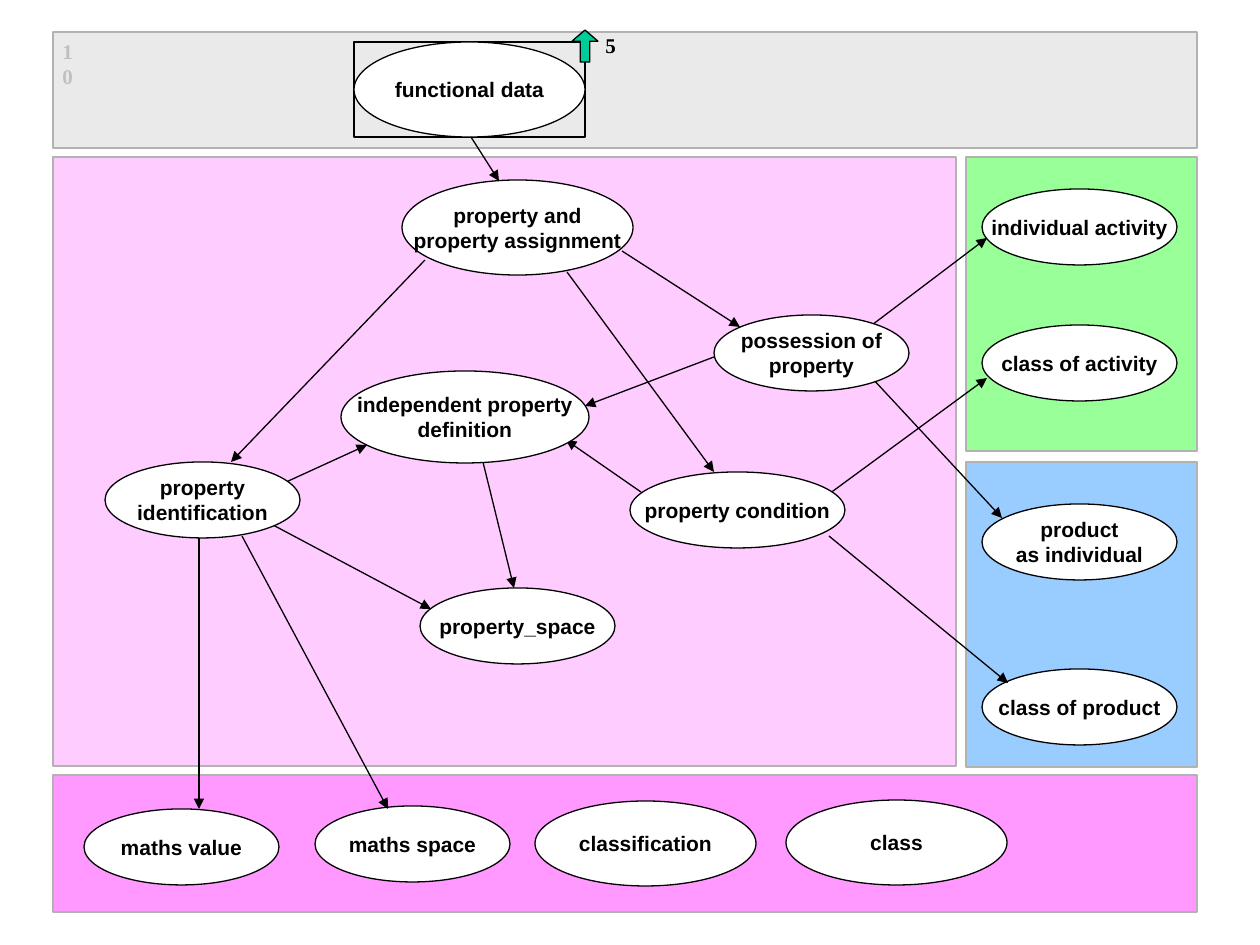
"""Build the functional data schema diagram as a single slide."""
from lxml.etree import SubElement
from pptx import Presentation
from pptx.dml.color import RGBColor
from pptx.enum.shapes import MSO_CONNECTOR as Connector, MSO_SHAPE as Shape
from pptx.enum.text import MSO_ANCHOR as Anchor, MSO_AUTO_SIZE as AutoSize, PP_ALIGN as Align
from pptx.oxml.ns import qn
from pptx.util import Pt

EMU_PER_PX = 914400 / 126
SLIDE_SIZE = (1260, 945)

BLACK = RGBColor(0x00, 0x00, 0x00)
WHITE = RGBColor(0xFF, 0xFF, 0xFF)
PANEL_EDGE = RGBColor(0xB2, 0xB2, 0xB2)
PAGE_GREY = RGBColor(0xC0, 0xC0, 0xC0)
GREY = RGBColor(0xEA, 0xEA, 0xEA)
PINK = RGBColor(0xFF, 0xCC, 0xFF)
MAGENTA = RGBColor(0xFF, 0x99, 0xFF)
BLUE = RGBColor(0x99, 0xCC, 0xFF)
GREEN = RGBColor(0x99, 0xFF, 0x99)
TEAL = RGBColor(0x00, 0xCC, 0x99)

NODE_SIZE = (195, 76)
ENTRY_SIZE = (231, 95)
CLASS_SIZE = (221, 85)
ENTRY_SPOT = (354, 42)

PANELS = [
    ((53, 775, 1144, 137), MAGENTA),
    ((53, 157, 903, 609), PINK),
    ((53, 32, 1144, 116), GREY),
    ((966, 462, 231, 305), BLUE),
    ((966, 157, 231, 294), GREEN),
]

TARGET_NODES = [
    ("product\nas individual", (982, 504), NODE_SIZE),
    ("class of product", (982, 669), NODE_SIZE),
    ("class of activity", (982, 325), NODE_SIZE),
    ("individual activity", (982, 189), NODE_SIZE),
    ("property_space", (420, 588), NODE_SIZE),
    ("maths value", (84, 809), NODE_SIZE),
    ("maths space", (315, 806), NODE_SIZE),
    ("classification", (535, 801), CLASS_SIZE),
    ("class", (786, 800), CLASS_SIZE),
]

PROPERTY_NODES = [
    ("property condition", (630, 472), (215, 76)),
    ("possession of\nproperty", (714, 315), NODE_SIZE),
    ("property and\nproperty assignment", (402, 180), ENTRY_SIZE),
    ("independent property\ndefinition", (341, 371), (248, 92)),
    ("property\nidentification", (105, 462), NODE_SIZE),
]

RELATIONS = [
    ((829, 494), (987, 378)),
    ((622, 251), (740, 327)),
    ((567, 272), (714, 472)),
    ((425, 260), (231, 462)),
    ((872, 325), (987, 238)),
    ((872, 378), (1002, 518)),
    ((714, 357), (585, 406)),
    ((199, 536), (199, 809)),
    ((829, 536), (1008, 683)),
    ((483, 462), (514, 588)),
    ((242, 536), (388, 809)),
    ((641, 492), (566, 440)),
    ((284, 483), (367, 445)),
    ((273, 525), (431, 609)),
]
ENTRY_RELATION = ((471, 137), (499, 181))


def px(*lengths):
    return [round(length * EMU_PER_PX) for length in lengths]


def add_outlined(slide, preset, box, fill=None, edge=BLACK):
    shape = slide.shapes.add_shape(preset, *px(*box))
    shape.shadow.inherit = False
    if fill is None:
        shape.fill.background()
    else:
        shape.fill.solid()
        shape.fill.fore_color.rgb = fill
    shape.line.color.rgb = edge
    shape.line.width = Pt(0.75)
    return shape


def write(frame, text, font_name, color, align):
    frame.text = text
    frame.word_wrap = False
    for paragraph in frame.paragraphs:
        paragraph.alignment = align
        font = paragraph.font
        font.name, font.size, font.bold = font_name, Pt(12), True
        font.color.rgb = color


def add_node(slide, label, spot, size):
    node = add_outlined(slide, Shape.OVAL, (*spot, *size), WHITE)
    node.text_frame.vertical_anchor = Anchor.MIDDLE
    write(node.text_frame, label, "Arial", BLACK, Align.CENTER)


def add_relation(slide, start, end):
    relation = slide.shapes.add_connector(Connector.STRAIGHT, *px(*start, *end))
    relation.line.color.rgb = BLACK
    relation.line.width = Pt(0.75)
    SubElement(relation.line._get_or_add_ln(), qn("a:tailEnd"), type="triangle")
    SubElement(relation._element.spPr, qn("a:effectLst"))


def add_page_number(slide, number, box, color):
    frame = slide.shapes.add_textbox(*px(*box)).text_frame
    write(frame, number, "Times New Roman", color, Align.LEFT)
    frame.auto_size = AutoSize.SHAPE_TO_FIT_TEXT


def add_page_arrow(slide):
    arrow = add_outlined(slide, Shape.UP_ARROW, (572, 30, 26, 32), TEAL)
    arrow.adjustments[0] = 0.37
    arrow.adjustments[1] = 0.43


def main():
    deck = Presentation()
    deck.slide_width, deck.slide_height = px(*SLIDE_SIZE)
    slide = deck.slides.add_slide(deck.slide_layouts[6])

    for box, fill in PANELS:
        add_outlined(slide, Shape.RECTANGLE, box, fill, PANEL_EDGE)
    for node in TARGET_NODES:
        add_node(slide, *node)
    for relation in RELATIONS:
        add_relation(slide, *relation)
    for node in PROPERTY_NODES:
        add_node(slide, *node)

    add_outlined(slide, Shape.RECTANGLE, (*ENTRY_SPOT, *ENTRY_SIZE))
    add_page_arrow(slide)
    add_node(slide, "functional data", ENTRY_SPOT, ENTRY_SIZE)
    add_relation(slide, *ENTRY_RELATION)
    add_page_number(slide, "10", (50, 32, 45, 38), PAGE_GREY)
    add_page_number(slide, "5", (593, 26, 35, 38), BLACK)

    deck.save("out.pptx")


if __name__ == "__main__":
    main()
